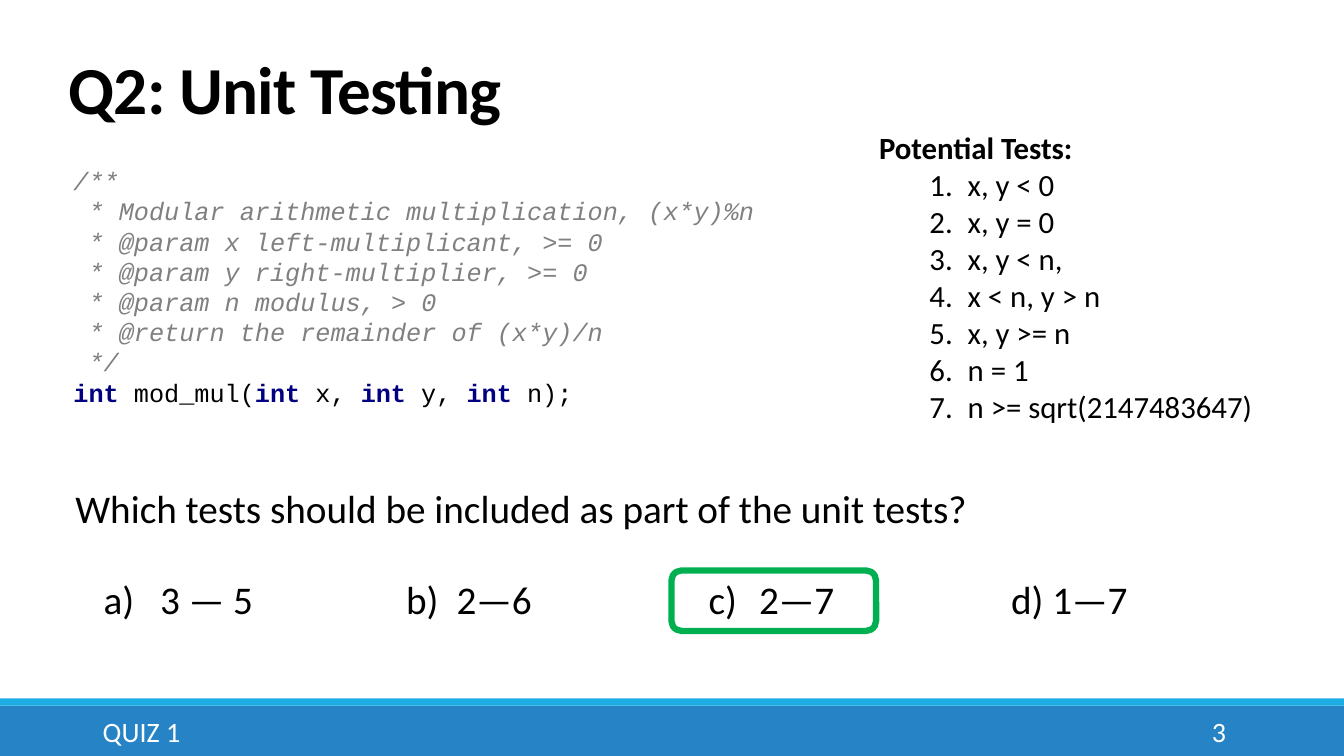
from lxml import etree
from pptx import Presentation
from pptx.dml.color import RGBColor
from pptx.enum.shapes import MSO_SHAPE
from pptx.enum.text import MSO_ANCHOR, PP_ALIGN
from pptx.oxml.ns import qn
from pptx.util import Inches, Pt

RECTANGLE = MSO_SHAPE.RECTANGLE
ROUNDED = MSO_SHAPE.ROUNDED_RECTANGLE
TOP, MIDDLE, BOTTOM = MSO_ANCHOR.TOP, MSO_ANCHOR.MIDDLE, MSO_ANCHOR.BOTTOM
LEFT, RIGHT = PP_ALIGN.LEFT, PP_ALIGN.RIGHT

BLACK = RGBColor(0x00, 0x00, 0x00)
WHITE = RGBColor(0xFF, 0xFF, 0xFF)
FOOTER_BLUE = RGBColor(0x26, 0x83, 0xC6)
STRIPE_BLUE = RGBColor(0x1C, 0xAD, 0xE4)
COMMENT_GRAY = RGBColor(0x80, 0x80, 0x80)
KEYWORD_NAVY = RGBColor(0x00, 0x00, 0x80)
ANSWER_GREEN = RGBColor(0x00, 0xB0, 0x50)

DOC_COMMENT = [
    "/**",
    " * Modular arithmetic multiplication, (x*y)%n",
    " * @param x left-multiplicant, >= 0",
    " * @param y right-multiplier, >= 0",
    " * @param n modulus, > 0",
    " * @return the remainder of (x*y)/n",
    " */",
]
SIGNATURE = ["mod_mul(", "x, ", "y, ", "n);"]
TESTS = ["x, y < 0", "x, y = 0", "x, y < n,", "x < n, y > n",
         "x, y >= n", "n = 1", "n >= sqrt(2147483647)"]
OPTIONS = ["3 — 5", "b)\t2—6", "c)\t2—7", "d) 1—7"]
OPTION_GAP = "\t" * 4


class QuizSlide:
    text_font = "Calibri"
    code_font = "Courier New"

    def __init__(self, page):
        self.page = page

    def shape(self, kind, area, fill=None, line=None, width=0):
        shape = self.page.shapes.add_shape(kind, *map(Inches, area))
        shape.shadow.inherit = False
        if fill is None:
            shape.fill.background()
        else:
            shape.fill.solid()
            shape.fill.fore_color.rgb = fill
        if line is None:
            shape.line.fill.background()
        else:
            shape.line.color.rgb = line
            shape.line.width = Pt(width)
        return shape

    def text(self, area, lines, size, color=BLACK, anchor=TOP, align=LEFT, wrap=True):
        box = self.page.shapes.add_textbox(*map(Inches, area))
        frame = box.text_frame
        frame.word_wrap = wrap
        frame.vertical_anchor = anchor
        paras = []
        for line in lines:
            para = self.next_para(frame, paras)
            para.text = line
            para.alignment = align
            self.style(para.font, self.text_font, size, color)
            paras.append(para)
        return paras

    def code(self, area, comment, signature, size):
        frame = self.shape(RECTANGLE, area, fill=WHITE).text_frame
        frame.word_wrap = True
        frame.vertical_anchor = MIDDLE
        paras = []
        for line in comment + [""]:
            para = self.next_para(frame, paras)
            para.text = line
            para.alignment = LEFT
            self.style(para.font, self.code_font, size, COMMENT_GRAY)
            para.font.italic = bool(line)
            paras.append(para)
        for part in signature:
            for word, color, bold in (("int ", KEYWORD_NAVY, True), (part, BLACK, False)):
                span = para.add_run()
                span.text = word
                span.font.color.rgb = color
                span.font.bold = bold

    @staticmethod
    def next_para(frame, paras):
        return frame.add_paragraph() if paras else frame.paragraphs[0]

    @staticmethod
    def style(font, name, size, color):
        font.name = name
        font.size = Pt(size)
        font.color.rgb = color

    @staticmethod
    def number(para, scheme, margin, hanging):
        props = para._p.get_or_add_pPr()
        props.set("marL", str(Inches(margin)))
        props.set("indent", str(-Inches(hanging)))
        bullet = etree.Element(qn("a:buAutoNum"), type=scheme)
        props.find(qn("a:defRPr")).addprevious(bullet)


deck = Presentation()
deck.slide_width, deck.slide_height = Inches(13.33), Inches(7.5)
quiz = QuizSlide(deck.slides.add_slide(deck.slide_layouts[6]))

quiz.shape(RECTANGLE, (0, 7, 13.33, 0.5), fill=FOOTER_BLUE)
quiz.shape(RECTANGLE, (0, 6.93, 13.33, 0.07), fill=STRIPE_BLUE)
quiz.text((0.92, 7.06, 8.39, 0.4), ["QUIZ 1"], 20, WHITE, MIDDLE)
quiz.text((10.83, 7.06, 1.43, 0.4), ["3"], 20, WHITE, MIDDLE, RIGHT)

title, = quiz.text((0.58, 0.47, 11, 0.85), ["Q2: Unit Testing"], 48, anchor=BOTTOM)
title.font.bold = True
title.line_spacing = 0.85
title.runs[0].font._element.set("spc", "-50")

quiz.code((0.63, 1.58, 7.8, 2.52), DOC_COMMENT, SIGNATURE, 18)

heading, *tests = quiz.text((8.62, 1.23, 3.93, 3.06), ["Potential Tests:"] + TESTS, 22, wrap=False)
heading.font.bold = True
for test in tests:
    test.level = 1
    quiz.number(test, "arabicPeriod", 0.88, 0.38)

quiz.text((0.65, 4.76, 12.26, 0.57),
          ["Which tests should be included as part of the unit tests?"], 28)
options, = quiz.text((0.93, 5.66, 12.26, 0.57), [OPTION_GAP.join(OPTIONS)], 28)
quiz.number(options, "alphaLcParenR", 0.56, 0.56)
quiz.shape(ROUNDED, (6.66, 5.66, 2.03, 0.6), line=ANSWER_GREEN, width=4.5)

deck.save("out.pptx")
